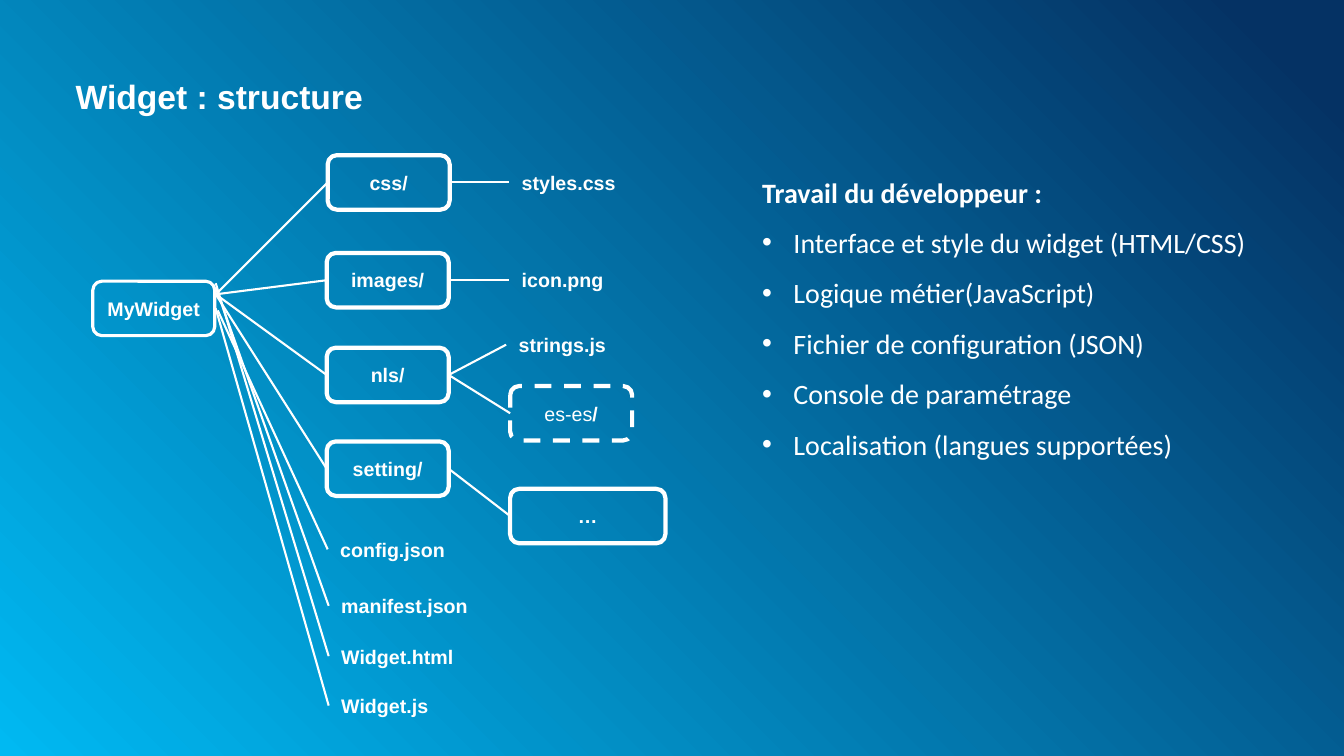
from dataclasses import dataclass

from lxml.etree import SubElement
from pptx import Presentation
from pptx.dml.color import RGBColor
from pptx.enum.dml import MSO_LINE
from pptx.enum.shapes import MSO_CONNECTOR as Connector, MSO_SHAPE as Preset
from pptx.enum.text import MSO_ANCHOR as Anchor, MSO_AUTO_SIZE as AutoSize, PP_ALIGN as Align
from pptx.oxml.ns import qn
from pptx.util import Inches, Pt

TITLE = "Widget : structure"
HEADING = "Travail du développeur :"
TASKS = [
    "Interface et style du widget (HTML/CSS)",
    "Logique métier(JavaScript)",
    "Fichier de configuration (JSON)",
    "Console de paramétrage",
    "Localisation (langues supportées)",
]

ROOT = ("MyWidget", 0.92, 2.79)
# name, left, top, where its line leaves the root
FOLDERS = [
    ("css/", 3.25, 1.54, (2.14, 2.92)),
    ("images/", 3.24, 2.51, (2.14, 2.92)),
    ("nls/", 3.24, 3.45, (2.14, 2.92)),
    ("setting/", 3.24, 4.38, (2.14, 2.92)),
]
ROOT_FILES = [
    ("config.json", 3.25, 5.18, (2.16, 3.08)),
    ("manifest.json", 3.26, 5.74, (2.14, 2.85)),
    ("Widget.html", 3.26, 6.24, (2.14, 2.81)),
    ("Widget.js", 3.26, 6.73, (2.14, 3.06)),
]
# name, left, top, parent folder
FOLDER_FILES = [
    ("styles.css", 5.05, 1.54, "css/"),
    ("icon.png", 5.05, 2.51, "images/"),
    ("strings.js", 5.02, 3.15, "nls/"),
]
LOCALE_FOLDER = ("es-es", 5.06, 3.83, "nls/")
SETTING_CONTENT = ("…", 5.06, 4.85, "setting/")

FOLDER_WIDTH, FILE_WIDTH, NODE_HEIGHT = 1.21, 1.54, 0.54
BULLET_INDENT = Inches(0.31)


@dataclass(frozen=True)
class Theme:
    white = RGBColor(0xFF, 0xFF, 0xFF)
    glow = RGBColor(0x00, 0xB9, 0xF2)
    navy = RGBColor(0x05, 0x32, 0x64)
    heading_font = "Arial"
    body_font = "Calibri"
    title_size = Pt(24)
    body_size = Pt(20)
    node_size = Pt(14)
    root_border = Pt(2.25)
    folder_border = Pt(3)
    link = Pt(1.5)


theme = Theme()


def paint_background(slide):
    """Radial gradient that spreads from the bottom left corner."""
    fill = slide.background.fill
    fill.gradient()
    for stop, color, position in zip(fill.gradient_stops, (theme.glow, theme.navy), (0, 0.95)):
        stop.color.rgb = color
        stop.position = position
    gradient = slide.element.find(".//" + qn("a:gradFill"))
    gradient.remove(gradient.find(qn("a:lin")))
    circle = SubElement(gradient, qn("a:path"), path="circle")
    SubElement(circle, qn("a:fillToRect"), l="0", t="100000", r="100000", b="0")


def add_run(paragraph, text, size=theme.node_size, font=theme.heading_font, bold=True):
    run = paragraph.add_run()
    run.text = text
    run.font.size, run.font.name, run.font.bold = size, font, bold
    run.font.color.rgb = theme.white


def place(shape, left, top, width, height):
    shape.left, shape.top = Inches(left), Inches(top)
    shape.width, shape.height = Inches(width), Inches(height)


def clear_frame(frame):
    frame.margin_left = frame.margin_right = frame.margin_top = frame.margin_bottom = 0
    frame.auto_size = AutoSize.NONE
    frame.word_wrap = True


def add_node(slide, text, left, top, width=FOLDER_WIDTH, border=None, bold=True):
    """Box of the tree; without a border it is a plain file name set to the left."""
    shape = slide.shapes.add_shape(
        Preset.ROUNDED_RECTANGLE, Inches(left), Inches(top), Inches(width), Inches(NODE_HEIGHT))
    shape.shadow.inherit = False
    shape.fill.background()
    if border:
        shape.line.color.rgb = theme.white
        shape.line.width = border
    else:
        shape.line.fill.background()
    frame = shape.text_frame
    frame.word_wrap = False
    frame.vertical_anchor = Anchor.MIDDLE
    paragraph = frame.paragraphs[0]
    paragraph.alignment = Align.CENTER if border else Align.LEFT
    add_run(paragraph, text, bold=bold)
    return shape


def add_link(slide, start, left, top):
    """Line from start to the middle of the left side of a node."""
    x, y = start
    link = slide.shapes.add_connector(
        Connector.STRAIGHT, Inches(x), Inches(y), Inches(left), Inches(top + NODE_HEIGHT / 2))
    link.line.color.rgb = theme.white
    link.line.width = theme.link
    SubElement(link.element.spPr, qn("a:effectLst"))


def draw_tree(slide):
    add_node(slide, *ROOT, border=theme.root_border)
    folder_exits = {}
    for name, left, top, start in FOLDERS:
        add_node(slide, name, left, top, border=theme.folder_border)
        add_link(slide, start, left, top)
        folder_exits[name] = (left + FOLDER_WIDTH, top + NODE_HEIGHT / 2)

    nested_files = [(name, left, top, folder_exits[parent])
                    for name, left, top, parent in FOLDER_FILES]
    for name, left, top, start in ROOT_FILES + nested_files:
        add_node(slide, name, left, top, width=FILE_WIDTH)
        add_link(slide, start, left, top)

    name, left, top, parent = LOCALE_FOLDER
    locale = add_node(slide, name, left, top, border=theme.folder_border, bold=False)
    locale.line.dash_style = MSO_LINE.DASH
    add_run(locale.text_frame.paragraphs[0], "/")
    add_link(slide, folder_exits[parent], left, top)

    name, left, top, parent = SETTING_CONTENT
    add_node(slide, name, left, top, width=FILE_WIDTH, border=theme.folder_border)
    add_link(slide, folder_exits[parent], left, top)


def fill_title(title):
    place(title, 0.75, 0.75, 11.84, 0.4)
    clear_frame(title.text_frame)
    paragraph = title.text_frame.paragraphs[0]
    paragraph.alignment = Align.LEFT
    add_run(paragraph, TITLE, size=theme.title_size)


def fill_tasks(body):
    place(body, 7.56, 1.57, 5.61, 4.52)
    frame = body.text_frame
    clear_frame(frame)
    frame.vertical_anchor = Anchor.TOP
    for index, text in enumerate([HEADING] + TASKS):
        paragraph = frame.paragraphs[0] if index == 0 else frame.add_paragraph()
        paragraph.line_spacing = 1.5
        paragraph.space_before = Pt(0)
        properties = paragraph._p.get_or_add_pPr()
        properties.set("marL", str(BULLET_INDENT))
        properties.set("indent", str(-BULLET_INDENT))
        if index == 0:
            SubElement(properties, qn("a:buNone"))
        else:
            SubElement(properties, qn("a:buFont"), typeface="Arial")
            SubElement(properties, qn("a:buChar"), char="•")
        add_run(paragraph, text, size=theme.body_size, font=theme.body_font, bold=index == 0)


def main():
    presentation = Presentation()
    presentation.slide_width, presentation.slide_height = Inches(13.33), Inches(7.5)
    slide = presentation.slides.add_slide(presentation.slide_layouts[1])
    paint_background(slide)
    fill_title(slide.shapes.title)
    fill_tasks(slide.placeholders[1])
    draw_tree(slide)
    presentation.save("out.pptx")


if __name__ == "__main__":
    main()
